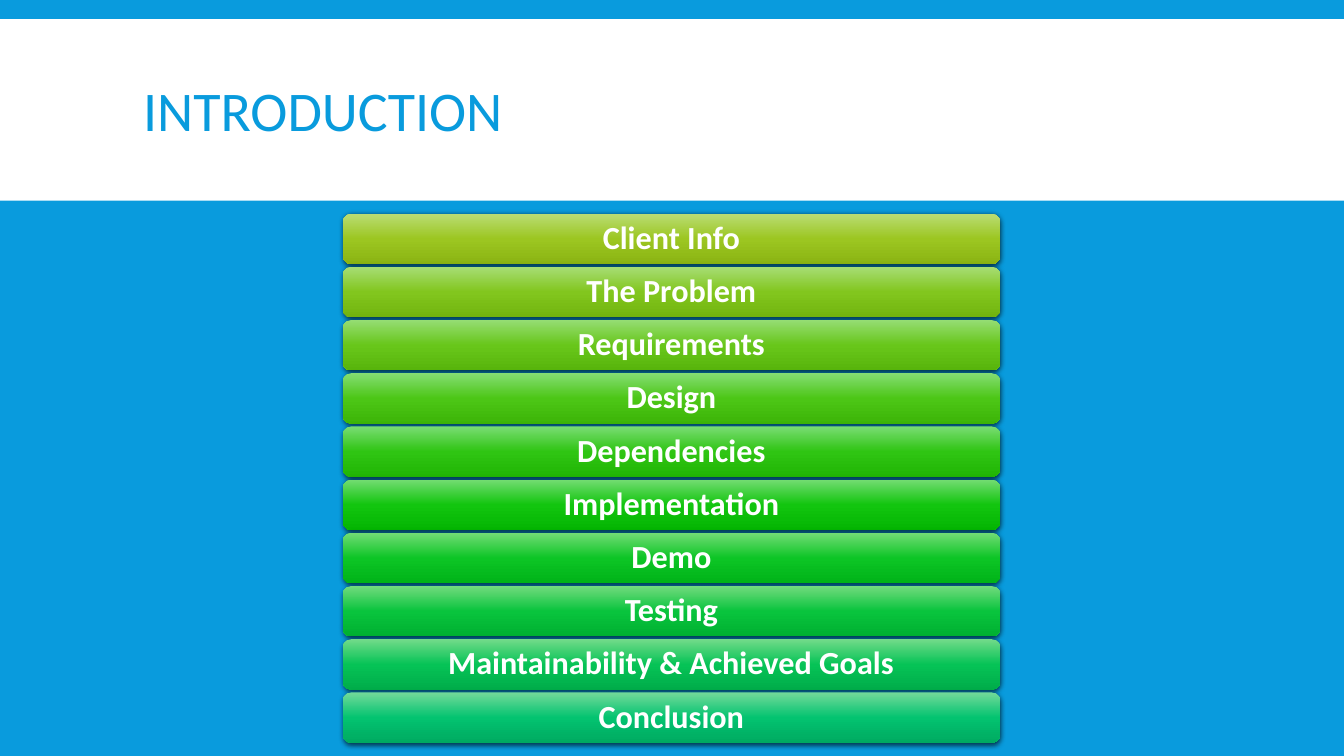
from copy import deepcopy

from lxml import etree
from pptx import Presentation
from pptx.dml.color import RGBColor
from pptx.enum.shapes import MSO_SHAPE
from pptx.enum.text import MSO_ANCHOR, PP_ALIGN
from pptx.oxml.ns import qn
from pptx.util import Inches, Pt

RECT = MSO_SHAPE.RECTANGLE
ROUND = MSO_SHAPE.ROUNDED_RECTANGLE
LEFT = PP_ALIGN.LEFT
CENTER = PP_ALIGN.CENTER
MIDDLE = MSO_ANCHOR.MIDDLE

BLUE = RGBColor(0x09, 0x9B, 0xDD)
WHITE = RGBColor(0xFF, 0xFF, 0xFF)
BLACK = RGBColor(0x00, 0x00, 0x00)

# Each topic with the top, middle and bottom colour of its bar
TOPICS = [
    ("Client\u00a0Info", "BADD75", "9CC621", "8BB413"),
    ("The Problem", "A7DD75", "82C61E", "72B40F"),
    ("Requirements", "95DD74", "68C61A", "58B50C"),
    ("Design", "85DD73", "4CC616", "3DB508"),
    ("Dependencies", "79DC73", "2FC513", "21B505"),
    ("Implementation", "73DC72", "12C50F", "04B502"),
    ("Demo", "72DC76", "0CC525", "00B318"),
    ("Testing", "72DB7E", "09C43D", "00B031"),
    ("Maintainability & Achieved Goals", "72DB8A", "06C356", "00AD4A"),
    ("Conclusion", "72DA9A", "03C370", "00AA61"),
]
FIRST, LAST = 2.12, 6.87


class Deck:
    font = "Calibri"

    def __init__(self):
        self.prs = Presentation()
        self.prs.slide_width = Inches(13.33)
        self.prs.slide_height = Inches(7.5)
        self.slide = self.prs.slides.add_slide(self.prs.slide_layouts[5])
        fill = self.slide.background.fill
        fill.solid()
        fill.fore_color.rgb = BLUE

    def label(self, shape, text, size, color, align, space, bold=False):
        frame = shape.text_frame
        frame.text = text
        frame.word_wrap = True
        frame.vertical_anchor = MIDDLE
        line = frame.paragraphs[0]
        line.alignment = align
        line.line_spacing = space
        font = line.runs[0].font
        font.name, font.size, font.bold = self.font, Pt(size), bold
        font.color.rgb = color

    def title(self, text, x, y, w, h):
        shape = self.slide.shapes.title
        shape.left, shape.top = Inches(x), Inches(y)
        shape.width, shape.height = Inches(w), Inches(h)
        self.label(shape, text, 40, BLUE, LEFT, 0.85)

    def block(self, kind, x, y, w, h):
        shape = self.slide.shapes.add_shape(
            kind, Inches(x), Inches(y), Inches(w), Inches(h))
        shape.line.fill.background()
        shape.shadow.inherit = False
        return shape

    def band(self, x, y, w, h):
        """Add a white band behind everything else."""
        shape = self.block(RECT, x, y, w, h)
        shape.fill.solid()
        shape.fill.fore_color.rgb = WHITE
        self.slide.shapes._spTree.insert(2, shape._element)

    def bar(self, text, tints, x, y, w, h):
        shape = self.block(ROUND, x, y, w, h)
        self.blend(shape, tints)
        self.shade(shape)
        self.label(shape, text, 23, WHITE, CENTER, 0.9, True)

    def blend(self, shape, tints):
        """Fill from top to bottom with evenly spaced tints."""
        fill = shape.fill
        fill.gradient()
        fill.gradient_angle = 270
        stops = shape._element.spPr.find(".//" + qn("a:gsLst"))
        stops.append(deepcopy(stops[0]))
        for i, (stop, tint) in enumerate(zip(fill.gradient_stops, tints)):
            stop.position = i / (len(tints) - 1)
            stop.color.rgb = RGBColor.from_string(tint)

    def shade(self, shape):
        """Cast a soft shadow straight down."""
        effects = shape._element.spPr.find(qn("a:effectLst"))
        outer = etree.SubElement(
            effects, qn("a:outerShdw"), blurRad=str(Pt(4)),
            dist=str(Pt(1.2)), dir="5400000", algn="ctr", rotWithShape="0")
        color = etree.SubElement(outer, qn("a:srgbClr"), val=str(BLACK))
        etree.SubElement(color, qn("a:alpha"), val="68000")


def main():
    deck = Deck()
    deck.band(0, 0.19, 13.33, 1.8)
    deck.title("INTRODUCTION", 1.32, 0.31, 10.7, 1.65)
    step = (LAST - FIRST) / (len(TOPICS) - 1)
    for i, (text, *tints) in enumerate(TOPICS):
        deck.bar(text, tints, 3.4, FIRST + i * step, 6.52, 0.5)
    deck.prs.save("out.pptx")


if __name__ == "__main__":
    main()
